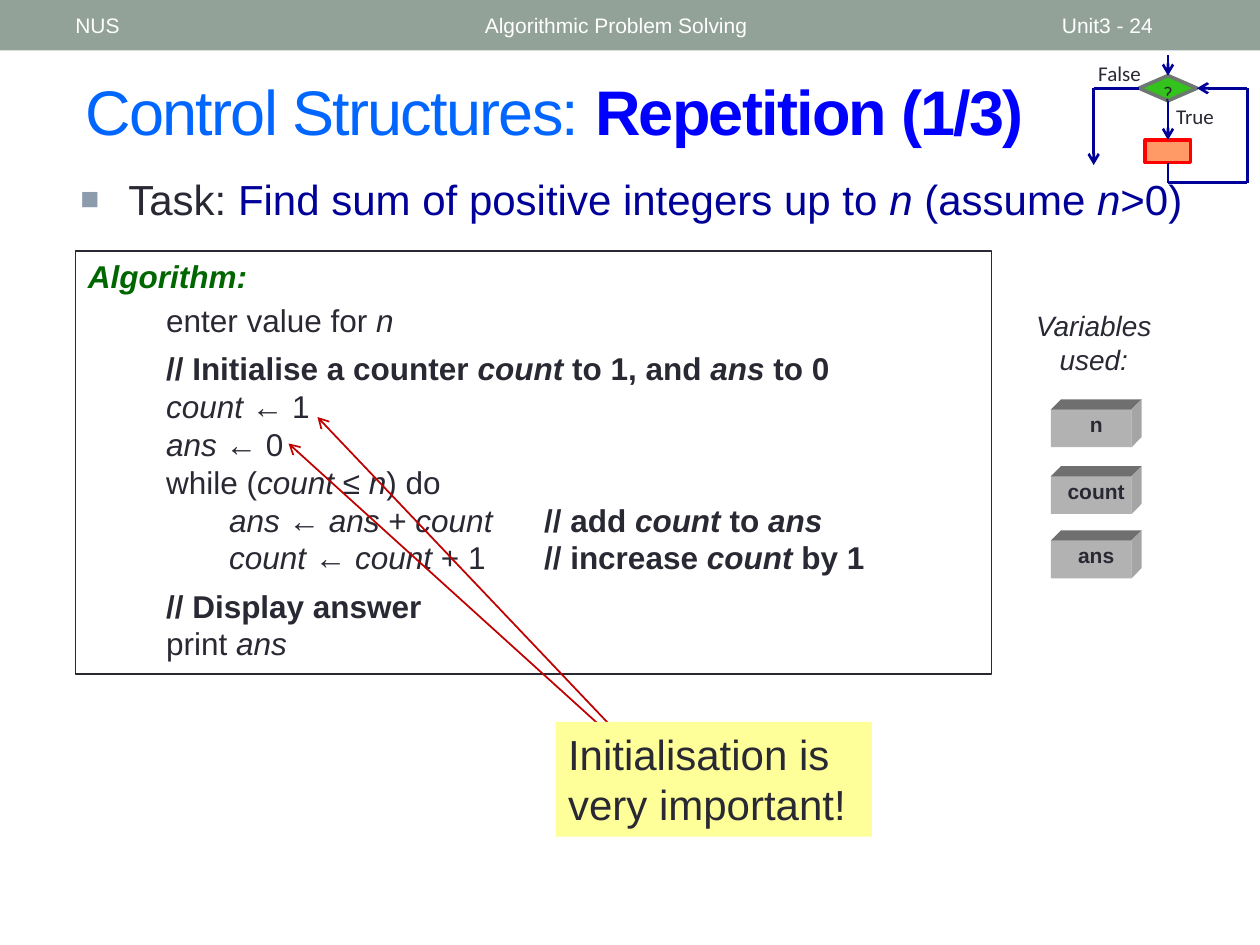
import pptx
import pptx.dml.color
import pptx.enum.shapes
import pptx.enum.text
import pptx.oxml
import pptx.oxml.ns
import pptx.util
from lxml import etree

RGB = pptx.dml.color.RGBColor
SHAPE = pptx.enum.shapes.MSO_SHAPE
ALIGN = pptx.enum.text.PP_ALIGN
ANCHOR = pptx.enum.text.MSO_ANCHOR

INK = RGB(0x29, 0x29, 0x34)
WHITE = RGB(0xFF, 0xFF, 0xFF)
SAGE = RGB(0x93, 0xA2, 0x99)
SKY = RGB(0x00, 0x66, 0xFF)
BLUE = RGB(0x00, 0x00, 0xFF)
NAVY = RGB(0x00, 0x00, 0x99)
GREEN = RGB(0x00, 0x66, 0x00)
CRIMSON = RGB(0xC0, 0x00, 0x00)
YELLOW = RGB(0xFF, 0xFF, 0x99)
LIME = RGB(0x34, 0xC2, 0x1C)
SLATE = RGB(0x6D, 0x78, 0x71)
ORANGE = RGB(0xFF, 0x99, 0x66)
RED = RGB(0xFF, 0x00, 0x00)
FRONT = RGB(0xB2, 0xB2, 0xB2)
LID = RGB(0x6F, 0x6F, 0x6F)
SIDE = RGB(0xA5, 0xA5, 0xA5)

TOP, LEFT, BOTTOM, RIGHT = range(4)

# Each line: space before in points, text; *...* is italic, // starts bold
ALGORITHM = [
    (0, "\tenter value for *n*"),
    (6, "\t// Initialise a counter *count* to 1, and *ans* to 0"),
    (0, "\t*count *← 1"),
    (0, "\t*ans *← 0"),
    (0, "\twhile (*count *≤ *n*) do"),
    (0, "\t\t*ans *← *ans *+* count*\t// add* count *to *ans*"),
    (0, "\t\t*count *← *count *+ 1\t// increase *count* by 1"),
    (6, "\t// Display answer"),
    (0, "\tprint *ans*"),
]


def cell(count):
    """Length of a number of grid cells; the page has 100 columns, 75 rows."""
    return pptx.util.Inches(count / 10)


def write(para, text, size=12, color=INK, font="Arial", bold=False, tracking=0):
    """Add text to a paragraph, with the parts between asterisks in italics."""
    for index, part in enumerate(text.split("*")):
        if not part:
            continue
        span = para.add_run()
        span.text = part
        span.font.size = pptx.util.Pt(size)
        span.font.name = font
        span.font.bold = bold
        span.font.italic = index % 2 == 1
        span.font.color.rgb = color
        if tracking:
            span.font._element.set("spc", str(tracking * 100))


def add_xml(parent, markup):
    """Append drawing elements given as markup."""
    space = pptx.oxml.ns.nsdecls("a")
    parent.extend(list(pptx.oxml.parse_xml(f"<a:list {space}>{markup}</a:list>")))


class Page:
    """The style of the deck and the slide being drawn."""

    def __init__(self, deck):
        self.slide = deck.slides.add_slide(deck.slide_layouts[6])
        self.shapes = self.slide.shapes

    def paint(self, shape, fill=None, line=None, weight=1):
        shape.shadow.inherit = False
        if fill is None:
            shape.fill.background()
        else:
            shape.fill.solid()
            shape.fill.fore_color.rgb = fill
        if line is None:
            shape.line.fill.background()
        else:
            shape.line.color.rgb = line
            shape.line.width = pptx.util.Pt(weight)
        return shape

    def block(self, left, top, width, height, kind=SHAPE.RECTANGLE, **look):
        shape = self.shapes.add_shape(kind, *map(cell, (left, top, width, height)))
        shape.text_frame.vertical_anchor = ANCHOR.TOP
        return self.paint(shape, **look)

    def face(self, points, fill):
        corners = [(cell(x), cell(y)) for x, y in points]
        builder = self.shapes.build_freeform(*corners[0])
        builder.add_line_segments(corners[1:])
        self.paint(builder.convert_to_shape(), fill)

    def first_para(self, box, align=ALIGN.LEFT):
        box.text_frame.word_wrap = True
        para = box.text_frame.paragraphs[0]
        para.alignment = align
        return para

    def label(self, left, top, width, height, text="", align=ALIGN.LEFT,
              anchor=ANCHOR.TOP, **style):
        box = self.shapes.add_textbox(*map(cell, (left, top, width, height)))
        box.text_frame.vertical_anchor = anchor
        para = self.first_para(box, align)
        write(para, text, **style)
        return para

    def line(self, start, end, color=NAVY, weight=1.5, arrow=False,
             begin=None, finish=None):
        link = self.shapes.add_connector(
            pptx.enum.shapes.MSO_CONNECTOR.STRAIGHT, *map(cell, start + end))
        link.line.color.rgb = color
        link.line.width = pptx.util.Pt(weight)
        if arrow:
            add_xml(link.line._get_or_add_ln(), '<a:tailEnd type="arrow"/>')
        etree.SubElement(link._element.spPr, pptx.oxml.ns.qn("a:effectLst"))
        if begin:
            link.begin_connect(*begin)
        if finish:
            link.end_connect(*finish)

    def variable(self, top, name):
        left, width, height, depth = 83.4, 6.4, 3, 0.8
        right, back = left + width, top - depth
        self.block(left, top, width, height, fill=FRONT)
        self.face([(left, top), (left + depth, back),
                   (right + depth, back), (right, top)], LID)
        self.face([(right, top), (right + depth, back),
                   (right + depth, back + height), (right, top + height)], SIDE)
        self.label(83.5, top - 0.3, 7, 3, name, align=ALIGN.CENTER, bold=True)

    def algorithm(self, box):
        para = self.first_para(box)
        para.space_after = pptx.util.Pt(3.6)
        write(para, "*Algorithm:*", size=18, color=GREEN, bold=True)
        stops = "".join(f'<a:tab pos="{cell(stop)}" algn="l"/>'
                        for stop in (6.2, 11.2, 36.2))
        for before, text in ALGORITHM:
            para = box.text_frame.add_paragraph()
            add_xml(para._element.get_or_add_pPr(), f"<a:tabLst>{stops}</a:tabLst>")
            para.alignment = ALIGN.LEFT
            para.space_before = pptx.util.Pt(before)
            code, mark, comment = text.partition("//")
            write(para, code, size=18)
            write(para, mark + comment, size=18, bold=True)


def main():
    deck = pptx.Presentation()
    deck.slide_width, deck.slide_height = cell(100), cell(75)
    page = Page(deck)

    # Header band
    page.block(0, 0, 100, 4, fill=SAGE)
    for left, width, text in ((5, 31.7, "NUS"),
                              (37.5, 45, "Algorithmic Problem Solving"),
                              (83.3, 11.7, "Unit3 - 24")):
        page.label(left, 0.2, width, 3.6, text, anchor=ANCHOR.MIDDLE, color=WHITE)

    # Title and task
    title = page.label(5.8, 5, 89.2, 7.5, "Control Structures: ", size=36,
                       anchor=ANCHOR.MIDDLE, color=SKY, tracking=-1)
    write(title, "Repetition (1/3)", size=36, color=BLUE, bold=True, tracking=-1)
    task = page.label(5.4, 13.3, 91.2, 6.6)
    bullet = task._element.get_or_add_pPr()
    bullet.set("marL", str(cell(3.8)))
    bullet.set("indent", str(cell(-3.8)))
    add_xml(bullet, '<a:buClr><a:srgbClr val="8C9CAD"/></a:buClr>'
            '<a:buSzPct val="75000"/><a:buFont typeface="Arial"/><a:buChar char="■"/>')
    write(task, "Task: ", size=24)
    write(task, "Find sum of positive integers up to *n *(assume *n*>0)",
          size=24, color=NAVY)

    # Algorithm and its variables
    page.algorithm(page.block(6, 19.9, 72.7, 33.6, line=INK))
    page.label(78.7, 24, 16.2, 6.2, "*Variables used:*", size=16, align=ALIGN.CENTER)
    for top, name in ((32.5, "n"), (37.8, "count"), (42.9, "ans")):
        page.variable(top, name)

    # Callout pointing at the two initial values
    for start, end in (((51.5, 60.8), (25.2, 33.1)), ((51.5, 61.1), (22.9, 35.2))):
        page.line(start, end, color=CRIMSON, weight=1, arrow=True)
    callout = page.block(44.1, 57.3, 25.1, 9.1, fill=YELLOW)
    write(page.first_para(callout), "Initialisation is very important!", size=24)

    # Loop flowchart
    test = page.block(90.4, 6, 4.6, 2, kind=SHAPE.FLOWCHART_DECISION,
                      fill=LIME, line=SLATE, weight=2.08)
    step = page.block(90.9, 11.1, 3.6, 1.8, fill=ORANGE, line=RED, weight=2.08)
    middle, back, out = 92.7, 99, 86.8
    page.line((middle, 4.4), (middle, 6), arrow=True, finish=(test, TOP))
    page.line((middle, 8), (middle, 11.1), arrow=True,
              begin=(test, BOTTOM), finish=(step, TOP))
    page.line((middle, 12.9), (middle, 14.5), begin=(step, BOTTOM))
    page.line((middle, 14.5), (back, 14.5))
    page.line((back, 7), (back, 14.5))
    page.line((back, 7), (95, 7), arrow=True, finish=(test, RIGHT))
    page.line((out, 7), (90.4, 7), finish=(test, LEFT))
    page.line((out, 7), (out, 13.1), arrow=True)
    for left, top, width, text in ((92.3, 7.7, 5.1, "True"),
                                   (85.9, 4.3, 5.9, "False"),
                                   (91.3, 5.9, 2.8, "?")):
        page.label(left, top, width, 2.5, text, align=ALIGN.CENTER, font="Calibri")

    deck.save("out.pptx")


if __name__ == "__main__":
    main()
